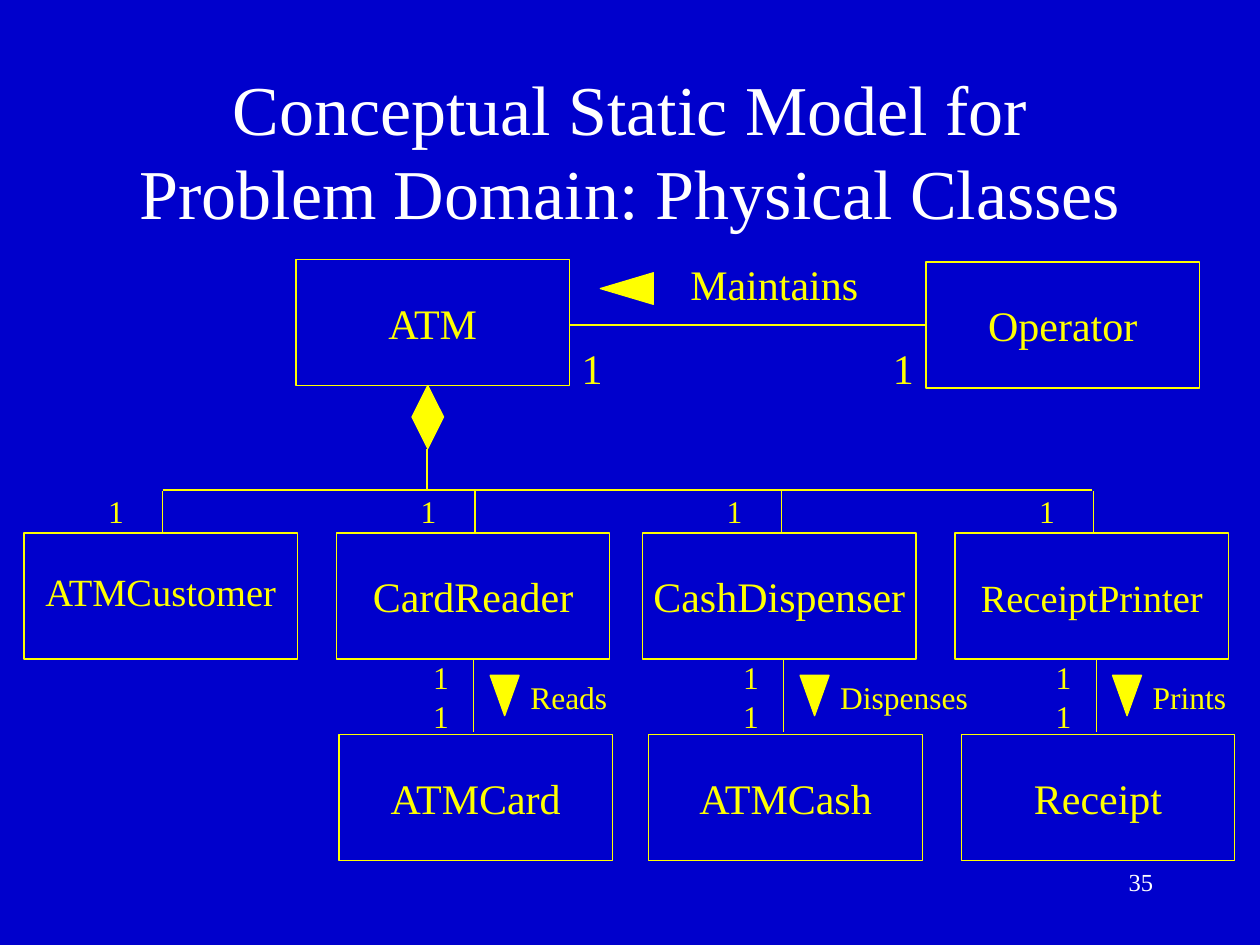
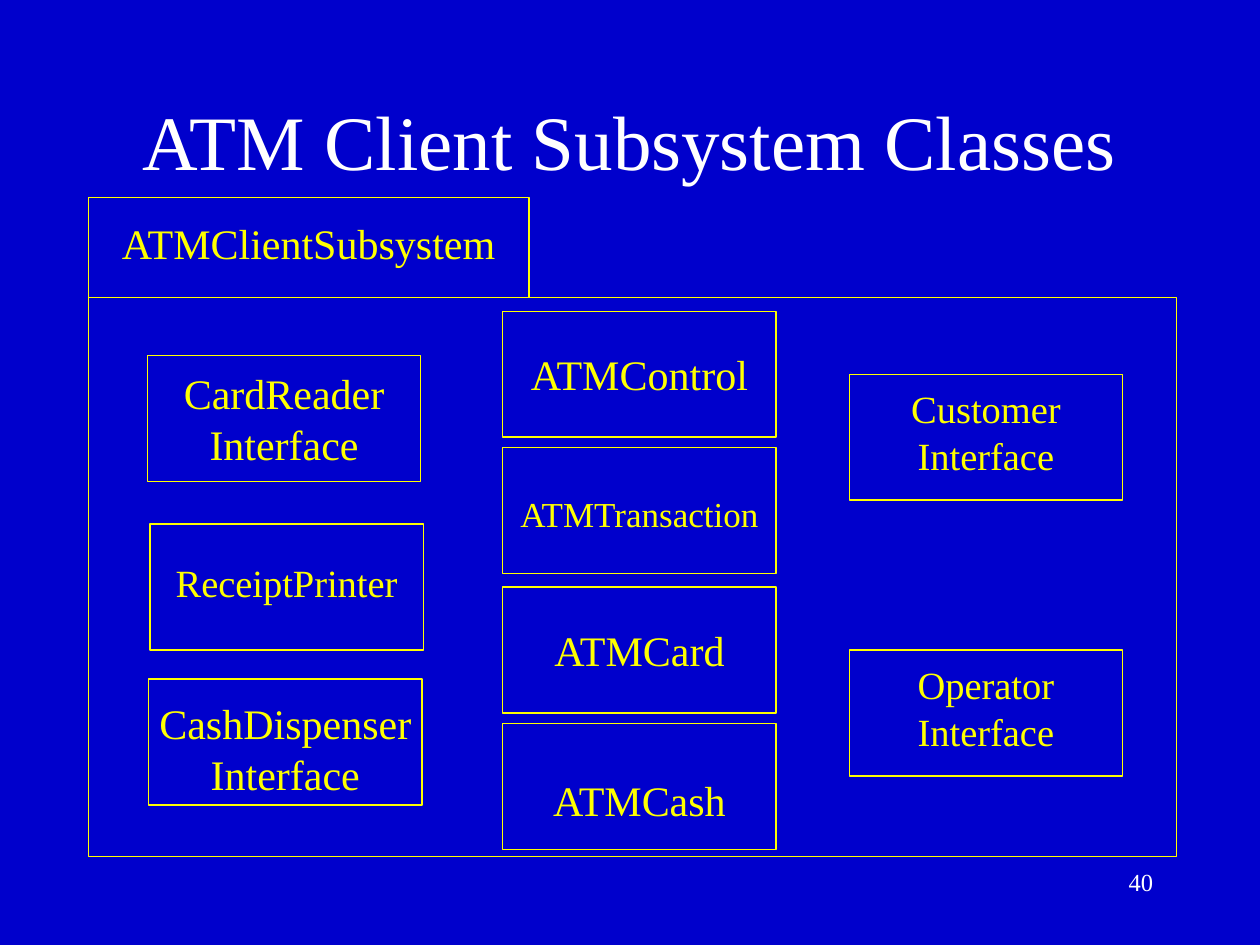
from lxml import etree
from pptx import Presentation
from pptx import util as u
from pptx.dml.color import RGBColor
from pptx.enum import shapes, text
from pptx.oxml import ns

BLUE = RGBColor(0x00, 0x00, 0xCC)
YELLOW = RGBColor(0xFF, 0xFF, 0x00)
WHITE = RGBColor(0xFF, 0xFF, 0xFF)
FONT = "Times New Roman"
LINE_WIDTH = u.Pt(0.75)
CLASS_W, CLASS_H = 2.17, 1
LABEL_SLACK = 0.03  # room on each side, so that no label breaks

LEFT, CENTER, RIGHT = (text.PP_ALIGN.LEFT, text.PP_ALIGN.CENTER,
                       text.PP_ALIGN.RIGHT)
RECT = shapes.MSO_SHAPE.RECTANGLE
DIAMOND = shapes.MSO_SHAPE.DIAMOND
TRIANGLE = shapes.MSO_SHAPE.ISOSCELES_TRIANGLE


# Basic elements
def add_text(s, lines, x, y, w, h, size, color=YELLOW, align=LEFT,
             **frame_format):
    tf = s.shapes.add_textbox(*map(u.Inches, (x, y, w, h))).text_frame
    for name, value in frame_format.items():
        setattr(tf, name, value)
    for i, line in enumerate(lines.split("\n")):
        p = tf.paragraphs[0] if i == 0 else tf.add_paragraph()
        p.alignment = align
        r = p.add_run()
        r.text = line
        font_format = {"name": FONT, "size": u.Pt(size)}
        for name, value in font_format.items():
            setattr(r.font, name, value)
        r.font.color.rgb = color


def add_label(s, lines, x, y, w, size):
    """Text on the diagram, as tall as its lines need."""
    h = 0.1 + len(lines.split("\n")) * size / 60
    add_text(s, lines, x - LABEL_SLACK, y, w + 2 * LABEL_SLACK, h, size,
             align=CENTER, word_wrap=False,
             auto_size=text.MSO_AUTO_SIZE.SHAPE_TO_FIT_TEXT)


def add_outline(s, kind, x, y, w, h, filled=False, rotation=0):
    sp = s.shapes.add_shape(kind, *map(u.Inches, (x, y, w, h)))
    sp.shadow.inherit = False
    sp.rotation = rotation
    if filled:
        sp.fill.solid()
        sp.fill.fore_color.rgb = YELLOW
    else:
        sp.fill.background()
    sp.line.color.rgb = YELLOW
    sp.line.width = LINE_WIDTH


def add_line(s, x1, y1, x2, y2):
    line = s.shapes.add_connector(shapes.MSO_CONNECTOR.STRAIGHT,
                                  *map(u.Inches, (x1, y1, x2, y2)))
    line.line.color.rgb = YELLOW
    line.line.width = LINE_WIDTH
    etree.SubElement(line._element.spPr, ns.qn("a:effectLst"))


# Diagram elements
def add_class(s, name, x, y, label_w, size=24, drop=0.25, w=CLASS_W,
              h=CLASS_H):
    """A box with its name centred, starting drop below the top edge."""
    add_outline(s, RECT, x, y, w, h)
    add_label(s, name, x + (w - label_w) / 2, y + drop, label_w, size)


def add_part(s, name, x, label_w, size, drop):
    """A part of the ATM, hanging from the composition bar."""
    add_class(s, name, x, 4.23, label_w, size, drop)
    add_line(s, x + 1.1, 3.9, x + 1.1, 4.22)
    add_label(s, "1", x + 0.57, 3.86, 0.32, 18)


def add_product(s, name, x, label_w, verb, verb_w):
    """A class joined to the part above it by a named association."""
    add_class(s, name, x, 5.83, label_w)
    add_line(s, x + 1.07, 5.23, x + 1.07, 5.81)
    for y in (5.17, 5.48):
        add_label(s, "1", x + 0.65, y, 0.32, 18)
    add_outline(s, TRIANGLE, x + 1.2, 5.36, 0.23, 0.32, True, 180)
    add_label(s, verb, x + 1.42, 5.33, verb_w, 18)


def add_slide(prs, title, title_y, title_size, number):
    s = prs.slides.add_slide(prs.slide_layouts[6])
    s.background.fill.solid()
    s.background.fill.fore_color.rgb = BLUE
    add_text(s, title, 0.75, title_y, 8.5, 1.25, title_size, WHITE, CENTER,
             word_wrap=True, vertical_anchor=text.MSO_ANCHOR.MIDDLE)
    add_text(s, number, 7.17, 6.83, 2.08, 0.5, 14, WHITE, RIGHT,
             word_wrap=True)
    return s


# Slides
def build_static_model(prs):
    s = add_slide(
        prs, "Conceptual Static Model for Problem Domain: Physical Classes",
        0.56, 40, "35")

    # ATM and its operator
    add_class(s, "ATM", 2.35, 2.06, 0.94)
    add_class(s, "Operator", 7.35, 2.08, 1.38)
    add_line(s, 4.52, 2.58, 7.35, 2.58)
    add_outline(s, TRIANGLE, 4.85, 2.08, 0.25, 0.42, True, 270)
    add_label(s, "Maintains", 5.38, 2, 1.53, 24)
    for x in (4.52, 6.99):
        add_label(s, "1", x, 2.67, 0.36, 24)

    # Composition
    add_outline(s, DIAMOND, 3.27, 3.06, 0.25, 0.5, True)
    add_line(s, 3.39, 3.56, 3.39, 3.89)
    add_line(s, 1.29, 3.89, 8.67, 3.89)
    for part in (("ATMCustomer", 0.19, 2.06, 22, 0.23),
                 ("CardReader", 2.67, 1.79, 24, 0.25),
                 ("CashDispenser", 5.1, 2.2, 24, 0.25),
                 ("ReceiptPrinter", 7.58, 1.96, 22, 0.28)):
        add_part(s, *part)

    # What the parts handle
    for product in (("ATMCard", 2.69, 1.59, "Reads", 0.81),
                    ("ATMCash", 5.15, 1.61, "Dispenses", 1.21),
                    ("Receipt", 7.63, 1.22, "Prints", 0.78)):
        add_product(s, *product)


def build_client_subsystem(prs):
    s = add_slide(prs, "ATM Client Subsystem Classes", 0.48, 44, "40")

    # Package with its tab
    add_outline(s, RECT, 0.7, 2.36, 8.64, 4.44)
    add_class(s, "ATMClientSubsystem", 0.7, 1.57, 3.2, drop=0.11,
              w=3.5, h=0.79)

    # Classes, column by column
    for box in (("CardReader\nInterface", 1.17, 2.82, 1.79, 24, 0.05),
                ("ReceiptPrinter", 1.19, 4.16, 1.96, 22, 0.23),
                ("CashDispenser\nInterface", 1.18, 5.39, 2.2, 24, 0.1),
                ("ATMControl", 3.99, 2.47, 1.96),
                ("ATMTransaction", 3.99, 3.55, 2.13, 20, 0.31),
                ("ATMCard", 3.99, 4.66, 1.59),
                ("ATMCash", 3.99, 5.74, 1.61, 24, 0.36),
                ("Customer\nInterface", 6.74, 2.97, 1.38, 22, 0.04),
                ("Operator\nInterface", 6.74, 5.16, 1.28, 22, 0.04)):
        add_class(s, *box)


def main():
    prs = Presentation()
    prs.slide_width = u.Inches(10)
    prs.slide_height = u.Inches(7.5)
    build_static_model(prs)
    build_client_subsystem(prs)
    prs.save("out.pptx")


if __name__ == "__main__":
    main()
